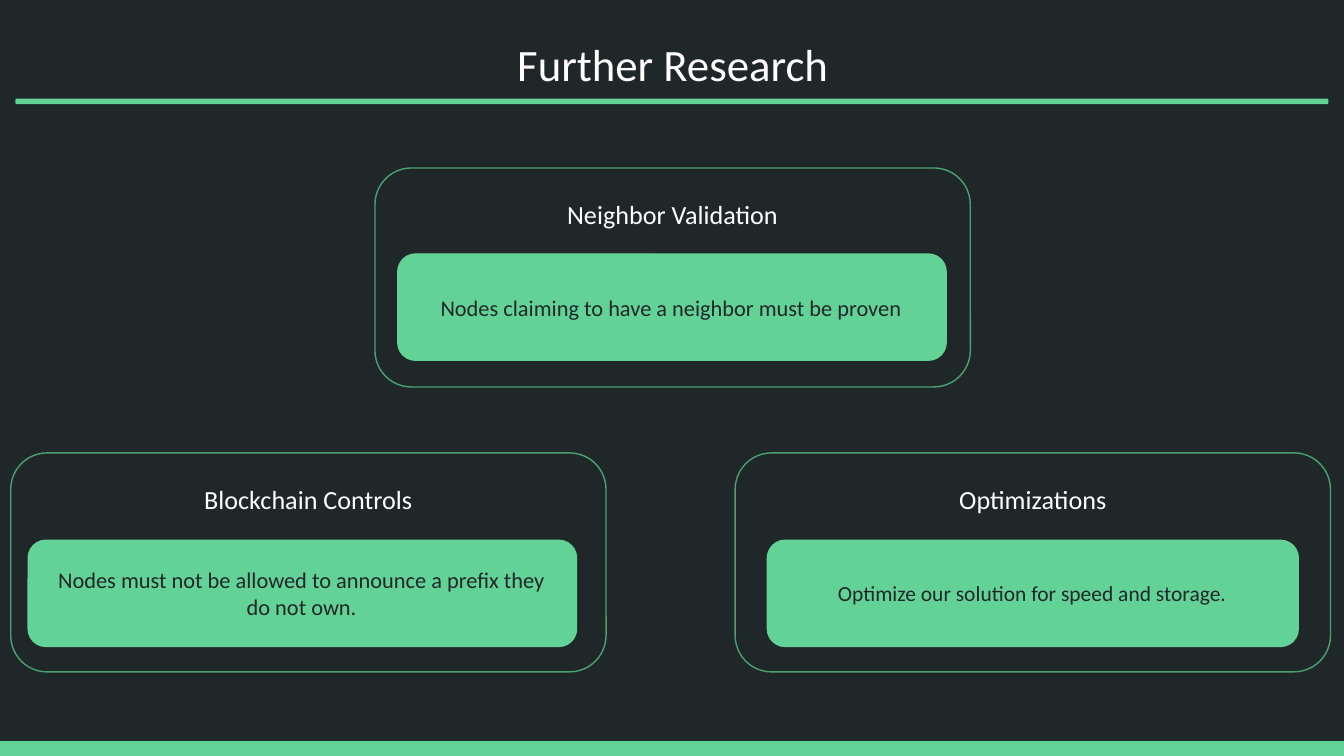
from pptx import Presentation
from pptx.dml.color import RGBColor
from pptx.enum.shapes import MSO_SHAPE as Preset
from pptx.enum.text import MSO_ANCHOR as Anchor, PP_ALIGN as Align
from pptx.util import Inches, Pt

DARK = "202729"
GREEN = "63D297"
OUTLINE = "4BA173"
WHITE = "FFFFFF"
SLIDE_WIDTH = 10
SLIDE_HEIGHT = SLIDE_WIDTH * 9 / 16
FOOTER_HEIGHT = 0.11
CARD_WIDTH, CARD_HEIGHT = 4.43, 1.63
NOTE_HEIGHT = 0.79
TOP_ROW, BOTTOM_ROW = 1.25, 3.37

CARDS = [
    (2.79, TOP_ROW, "Neighbor Validation",
     2.96, 1.89, 4.08, "Nodes claiming to have a neighbor must be proven", 12),
    (0.08, BOTTOM_ROW, "Blockchain Controls",
     0.21, 4.02, 4.08,
     "Nodes must not be allowed to announce a prefix they do not own.", 12),
    (5.47, BOTTOM_ROW, "Optimizations",
     5.71, 4.02, 3.95, "Optimize our solution for speed and storage.", 11.5),
]


def color(value):
    return RGBColor.from_string(value)


def add_panel(slide, box, fill, line=None, weight=0.75, preset=Preset.ROUNDED_RECTANGLE):
    panel = slide.shapes.add_shape(preset, *[Inches(length) for length in box])
    panel.shadow.inherit = False
    panel.fill.solid()
    panel.fill.fore_color.rgb = color(fill)
    if line:
        panel.line.color.rgb = color(line)
        panel.line.width = Pt(weight)
    else:
        panel.line.fill.background()
    return panel


def write(panel, wording, size, ink, anchor=Anchor.MIDDLE, top=0.1, right=0.1):
    frame = panel.text_frame
    frame.word_wrap = True
    frame.vertical_anchor = anchor
    frame.margin_left = frame.margin_bottom = Inches(0.1)
    frame.margin_top, frame.margin_right = Inches(top), Inches(right)
    paragraph = frame.paragraphs[0]
    paragraph.alignment = Align.CENTER
    run = paragraph.add_run()
    run.text = wording
    run.font.name = "Calibri"
    run.font.size = Pt(size)
    run.font.color.rgb = color(ink)


def add_card(slide, left, top, heading, note_left, note_top, note_width, note, note_size):
    card = add_panel(slide, (left, top, CARD_WIDTH, CARD_HEIGHT), DARK, OUTLINE)
    write(card, heading, 14, WHITE, Anchor.TOP, top=0.15)
    note_panel = add_panel(slide, (note_left, note_top, note_width, NOTE_HEIGHT), GREEN, GREEN)
    write(note_panel, note, note_size, DARK, right=0.11)


def add_title(slide, wording):
    title = add_panel(slide, (0.1, 0.18, 9.81, 0.58), DARK, DARK, 1.5)
    write(title, wording, 24, WHITE)
    add_panel(slide, (0.12, 0.74, 9.76, 0.03), GREEN, GREEN)


def main():
    deck = Presentation()
    deck.slide_width, deck.slide_height = Inches(SLIDE_WIDTH), Inches(SLIDE_HEIGHT)
    slide = deck.slides.add_slide(deck.slide_layouts[6])
    slide.background.fill.solid()
    slide.background.fill.fore_color.rgb = color(DARK)
    footer = (0, SLIDE_HEIGHT - FOOTER_HEIGHT, SLIDE_WIDTH, FOOTER_HEIGHT)
    add_panel(slide, footer, GREEN, preset=Preset.RECTANGLE)
    for card in CARDS:
        add_card(slide, *card)
    add_title(slide, "Further Research")
    deck.save("out.pptx")


if __name__ == "__main__":
    main()
